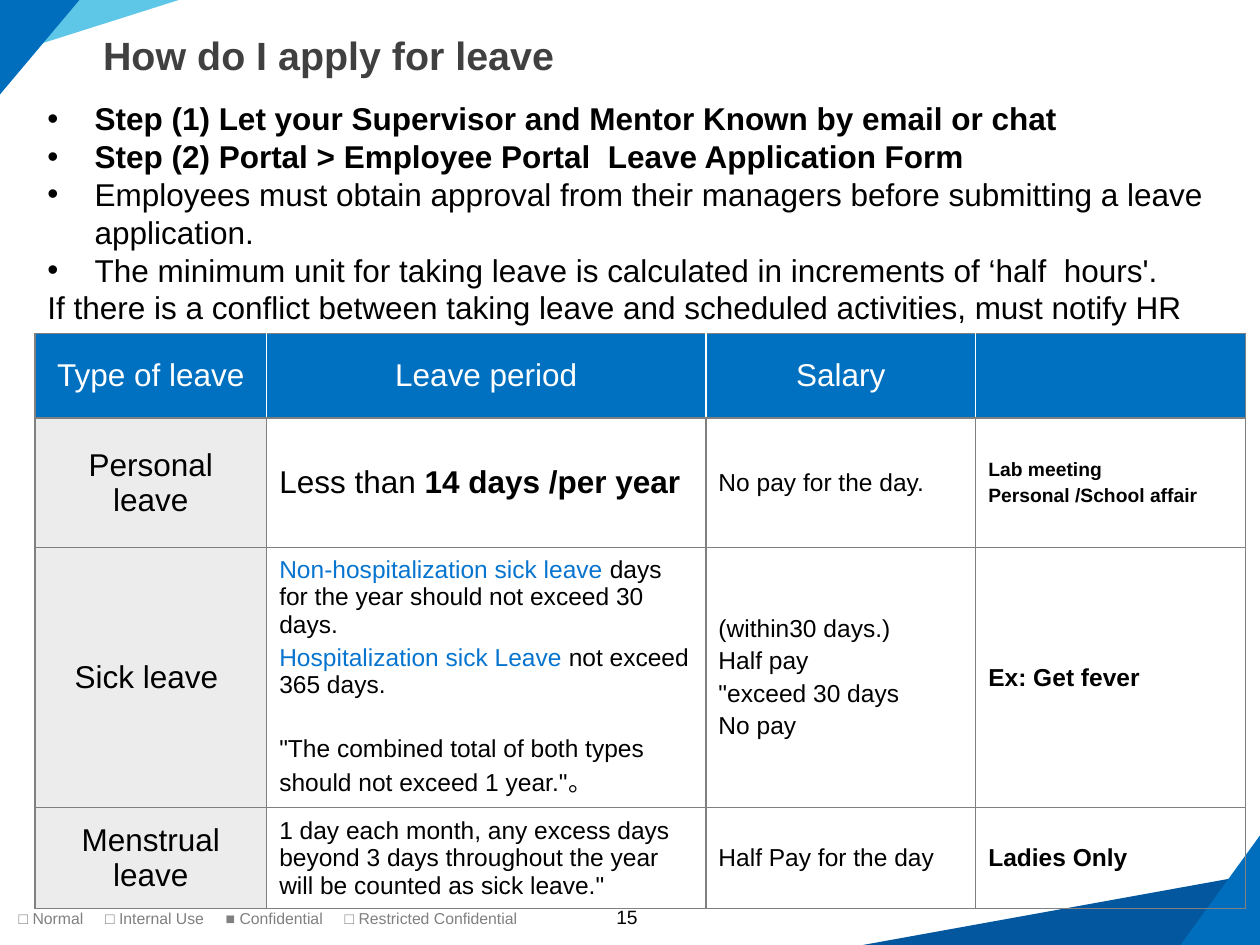
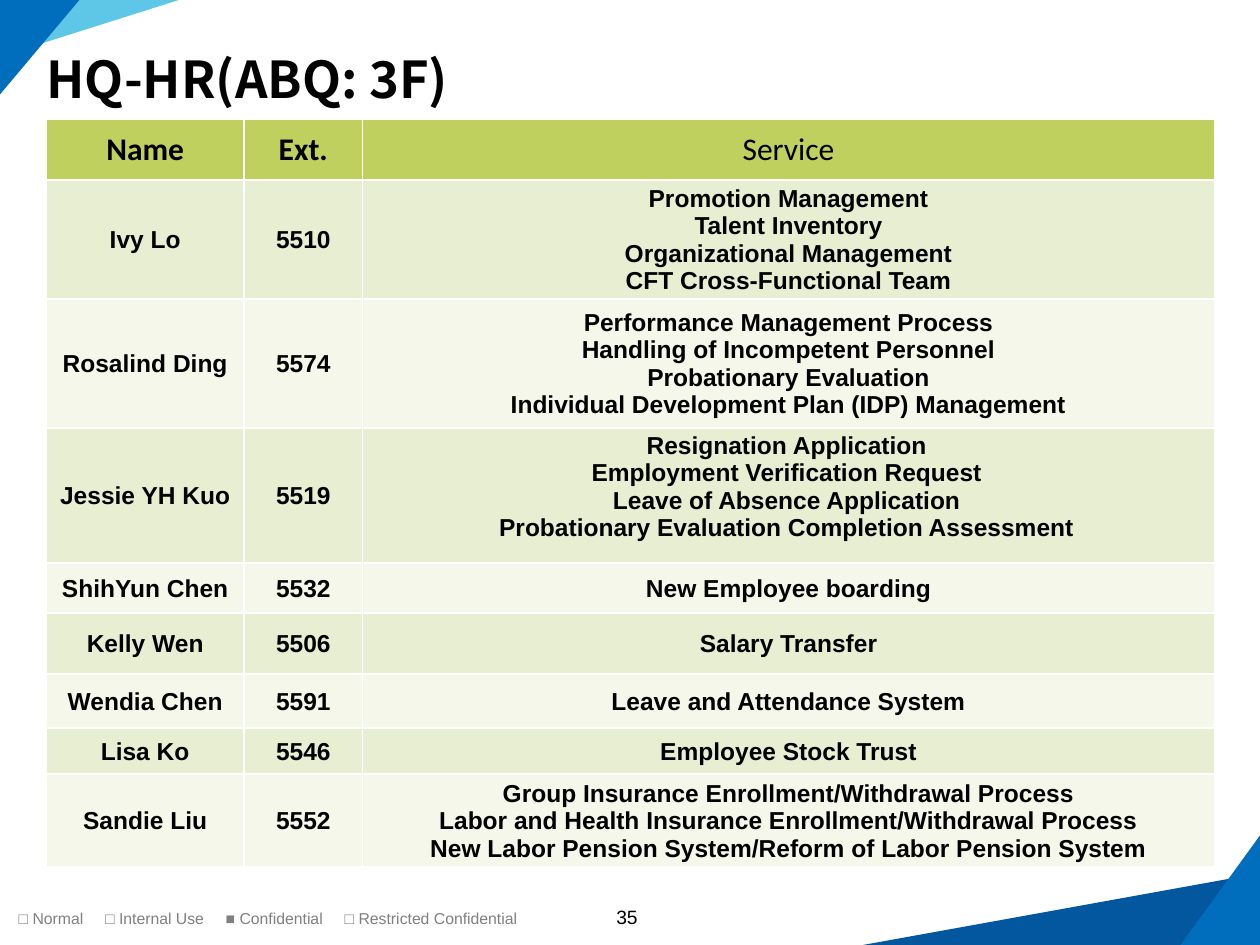
"""Builds two HR slides: leave application rules and the HR contact list."""
from lxml import etree
from pptx import Presentation
from pptx.dml.color import RGBColor
from pptx.enum.shapes import MSO_SHAPE
from pptx.enum.text import MSO_ANCHOR, PP_ALIGN
from pptx.oxml.ns import qn
from pptx.util import Pt

TRIANGLE = MSO_SHAPE.RIGHT_TRIANGLE
MIDDLE, TOP = MSO_ANCHOR.MIDDLE, MSO_ANCHOR.TOP
LEFT, CENTER = PP_ALIGN.LEFT, PP_ALIGN.CENTER

BLACK = RGBColor(0x00, 0x00, 0x00)
WHITE = RGBColor(0xFF, 0xFF, 0xFF)
GRAY = RGBColor(0x80, 0x80, 0x80)
TITLE_GRAY = RGBColor(0x40, 0x40, 0x40)
LABEL_GRAY = RGBColor(0xEC, 0xEC, 0xEC)
SKY = RGBColor(0x5E, 0xC7, 0xE8)
BLUE = RGBColor(0x00, 0x6E, 0xBC)
NAVY = RGBColor(0x02, 0x57, 0x9E)
HEADER_BLUE = RGBColor(0x00, 0x70, 0xC0)
LINK_BLUE = RGBColor(0x07, 0x75, 0xCF)
LIME = RGBColor(0xBF, 0xD0, 0x5F)
LIME_BANDS = [RGBColor(0xE8, 0xEE, 0xD2), RGBColor(0xF4, 0xF7, 0xEA)]

CORNERS = [
    (0, 0, 102.2, 32.4, 0, SKY),
    (0, 0, 45.4, 54, 0, BLUE),
    (493.2, 499, 226.8, 41, 180, NAVY),
    (674.6, 477.4, 45.4, 62.6, 180, BLUE),
]
FOOTER = "□ Normal\t□ Internal Use\t■ Confidential\t□ Restricted Confidential"
FOOTER_TABS = [49.4, 118.3, 186.3]


def write(tf, paras, align=LEFT, font="Arial", gaps=(), spacing=None):
    """Fill a text frame; each paragraph is a list of (text, size, bold, color) runs."""
    tf.word_wrap = True
    for i, runs in enumerate(paras):
        p = tf.paragraphs[0] if i == 0 else tf.add_paragraph()
        p.alignment = align
        if i and gaps:
            p.space_before = Pt(gaps[i - 1])
        if spacing:
            p.line_spacing = spacing
        for text, size, bold, color in runs:
            r = p.add_run()
            r.text = text
            r.font.name = font
            r.font.size = Pt(size)
            r.font.bold = bold
            r.font.color.rgb = color


def style_cell(cell, fill, edges, margins=(7.2, 3.6, 7.2, 3.6)):
    """Set 1 pt border colors in left, right, top, bottom order, then fill and margins."""
    tcPr = cell._tc.get_or_add_tcPr()
    for tag, color in zip(("a:lnL", "a:lnR", "a:lnT", "a:lnB"), edges):
        ln = etree.SubElement(tcPr, qn(tag), w=str(Pt(1)))
        solid = etree.SubElement(ln, qn("a:solidFill"))
        etree.SubElement(solid, qn("a:srgbClr"), val=str(color))
    if fill is None:
        cell.fill.background()
    else:
        cell.fill.solid()
        cell.fill.fore_color.rgb = fill
    cell.vertical_anchor = MIDDLE
    cell.margin_left, cell.margin_top, cell.margin_right, cell.margin_bottom = map(Pt, margins)


prs = Presentation()
prs.slide_width, prs.slide_height = Pt(720), Pt(540)

titles = [
    ("15", "How do I apply for leave", (51.8, 16.2, 646.6, 33.8), 7.2, 22.5, TITLE_GRAY, "Arial"),
    ("35", "HQ-HR(ABQ: 3F)", (26.6, 30.2, 677.5, 33.8), 0, 29, BLACK, "Noto Sans CJK SC"),
]
slides = []
for number, title, box, inset, size, color, font in titles:
    s = prs.slides.add_slide(prs.slide_layouts[6])
    slides.append(s)
    for x, y, w, h, rotation, fill in CORNERS:
        sp = s.shapes.add_shape(TRIANGLE, Pt(x), Pt(y), Pt(w), Pt(h))
        sp._element.spPr.xfrm.set("flipV", "1")
        sp.rotation = rotation
        sp.shadow.inherit = False
        sp.fill.solid()
        sp.fill.fore_color.rgb = fill
        sp.line.fill.background()

    tf = s.shapes.add_textbox(Pt(326.3), Pt(517.2), Pt(64), Pt(17.3)).text_frame
    tf.margin_top = tf.margin_bottom = 0
    write(tf, [[(number, 11, False, BLACK)]], CENTER)

    tf = s.shapes.add_textbox(Pt(3.6), Pt(515.5), Pt(324.7), Pt(18)).text_frame
    tabs = etree.SubElement(tf.paragraphs[0]._p.get_or_add_pPr(), qn("a:tabLst"))
    for pos in FOOTER_TABS:
        etree.SubElement(tabs, qn("a:tab"), pos=str(Pt(pos)), algn="l")
    write(tf, [[(FOOTER, 9, False, GRAY)]])

    tf = s.shapes.add_textbox(*map(Pt, box)).text_frame
    tf.margin_left = tf.margin_right = Pt(inset)
    tf.vertical_anchor = MIDDLE
    write(tf, [[(title, size, True, color)]], font=font, spacing=0.9)

leave_slide, contact_slide = slides

leave_rows = [
    [[[(head, 18, False, WHITE)]] for head in ("Type of leave", "Leave period", "Salary")] + [[]],
    [
        [[("Personal leave", 18, False, BLACK)]],
        [[("Less than ", 18, False, BLACK), ("14 days /per year", 18, True, BLACK)]],
        [[("No pay for the day.", 14, False, BLACK)]],
        [[("Lab meeting", 11, True, BLACK)], [("Personal /School affair", 11, True, BLACK)]],
    ],
    [
        [[("Sick leave ", 18, False, BLACK)]],
        [
            [("Non-hospitalization sick leave ", 14, False, LINK_BLUE),
             ("days for the year should not exceed 30 days.", 14, False, BLACK)],
            [("Hospitalization sick Leave ", 14, False, LINK_BLUE),
             ("not exceed 365 days.", 14, False, BLACK)],
            [('"The combined total of both types should not exceed 1 year."。', 14, False, BLACK)],
        ],
        [[(line, 14, False, BLACK)]
         for line in ("(within30 days.)", "Half pay", '"exceed 30 days', "No pay")],
        [[("Ex: Get fever", 14, True, BLACK)]],
    ],
    [
        [[("Menstrual leave", 18, False, BLACK)]],
        [[("1 day each month, any excess days beyond 3 days throughout the year "
           'will be counted as sick leave."', 14, False, BLACK)]],
        [[("Half Pay for the day", 14, False, BLACK)]],
        [[("Ladies Only", 14, True, BLACK)]],
    ],
]
col_widths = [132.4, 251, 154.2, 154.2]
row_heights = [48.3, 73.9, 97.2, 33.8]
table = leave_slide.shapes.add_table(
    4, 4, Pt(20), Pt(190.6), Pt(sum(col_widths)), Pt(sum(row_heights))).table
table.first_row = table.horz_banding = False
for col, width in zip(table.columns, col_widths):
    col.width = Pt(width)
for i, (height, row) in enumerate(zip(row_heights, leave_rows)):
    table.rows[i].height = Pt(height)
    for j, paras in enumerate(row):
        cell = table.cell(i, j)
        left = WHITE if i == 0 and j > 0 else GRAY
        right = WHITE if i == 0 and j < 3 else GRAY
        fill = HEADER_BLUE if i == 0 else LABEL_GRAY if j == 0 else None
        style_cell(cell, fill, [left, right, GRAY, GRAY])
        gaps = (2.9, 21) if (i, j) == (2, 1) else (2.9,) * 3
        write(cell.text_frame, paras, CENTER if i == 0 or j == 0 else LEFT, gaps=gaps)

steps = [
    ("Step (1) Let your Supervisor and Mentor Known by email or chat", True),
    ("Step (2) Portal > Employee Portal  Leave Application Form", True),
    ("Employees must obtain approval from their managers before submitting a leave application.",
     False),
    ("The minimum unit for taking leave is calculated in increments of ‘half  hours'.", False),
    ("If there is a conflict between taking leave and scheduled activities, must notify HR", False),
]
tf = leave_slide.shapes.add_textbox(Pt(20), Pt(53.3), Pt(678.2), Pt(138.2)).text_frame
write(tf, [[(text, 18, bold, BLACK)] for text, bold in steps])
for p in tf.paragraphs[:-1]:
    pPr = p._p.get_or_add_pPr()
    pPr.set("marL", str(Pt(27)))
    pPr.set("indent", str(-Pt(27)))
    etree.SubElement(pPr, qn("a:buFont"), typeface="Arial")
    etree.SubElement(pPr, qn("a:buChar"), char="•")

contacts = [
    (34.9, "Name", "Ext.", ["Service"]),
    (68, "Ivy Lo", "5510", ["Promotion Management", "Talent Inventory",
                            "Organizational Management", "CFT Cross-Functional Team"]),
    (73.7, "Rosalind Ding", "5574", ["Performance Management Process",
                                     "Handling of Incompetent Personnel",
                                     "Probationary Evaluation",
                                     "Individual Development Plan (IDP) Management"]),
    (77.2, "Jessie YH Kuo", "5519", ["Resignation Application", "Employment Verification Request",
                                     "Leave of Absence Application",
                                     "Probationary Evaluation Completion Assessment"]),
    (28.6, "ShihYun Chen", "5532", ["New Employee boarding"]),
    (34.9, "Kelly Wen", "5506", ["Salary Transfer"]),
    (30.9, "Wendia Chen", "5591", ["Leave and Attendance System"]),
    (26.3, "Lisa Ko", "5546", ["Employee Stock Trust"]),
    (53.1, "Sandie Liu", "5552", ["Group Insurance Enrollment/Withdrawal Process",
                                  "Labor and Health Insurance Enrollment/Withdrawal Process",
                                  "New Labor Pension System/Reform of Labor Pension System"]),
]
col_widths = [112.8, 67.9, 486.7]
table = contact_slide.shapes.add_table(
    len(contacts), 3, Pt(26.6), Pt(68), Pt(sum(col_widths)), Pt(sum(c[0] for c in contacts))).table
table.first_row = table.horz_banding = False
for col, width in zip(table.columns, col_widths):
    col.width = Pt(width)
for i, (height, name, ext, services) in enumerate(contacts):
    table.rows[i].height = Pt(height)
    header = i == 0
    for j, lines in enumerate(([name], [ext], services)):
        cell = table.cell(i, j)
        top_aligned = name == "Jessie YH Kuo" and j == 2
        style_cell(cell, LIME if header else LIME_BANDS[(i - 1) % 2], [WHITE] * 4,
                   (2.2, 2.2, 4.3, 2.2) if top_aligned else (0.7, 0.7, 0.7, 0))
        if top_aligned:
            cell.vertical_anchor = TOP
        size, bold = (18, j < 2) if header else (14, True)
        write(cell.text_frame, [[(line, size, bold, BLACK)] for line in lines], CENTER,
              "Calibri" if header else "Arial")

prs.save("out.pptx")
